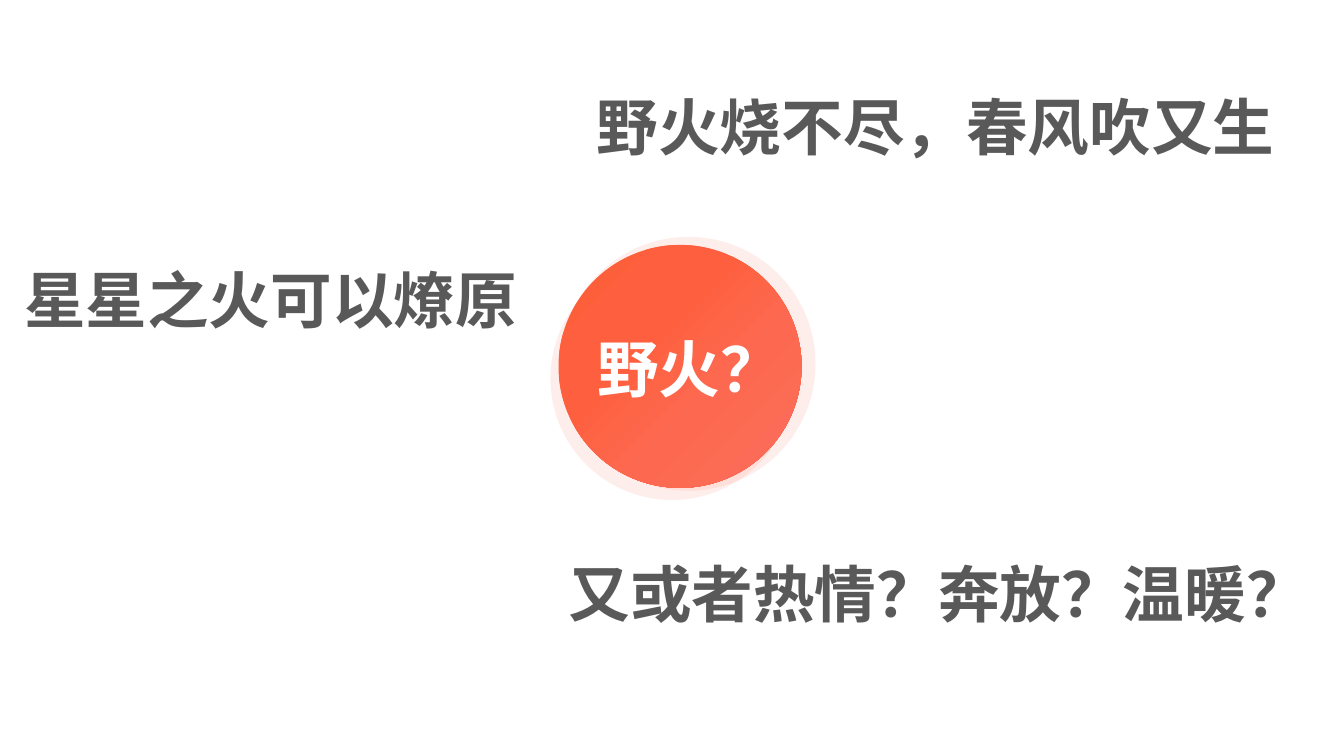
"""Build a slide with a glowing wildfire circle surrounded by three phrases."""
from lxml.etree import SubElement
from pptx import Presentation
from pptx.dml.color import RGBColor
from pptx.enum.shapes import MSO_SHAPE
from pptx.enum.text import MSO_AUTO_SIZE, PP_ALIGN
from pptx.oxml import parse_xml
from pptx.oxml.ns import nsdecls, qn
from pptx.util import Inches, Pt

THEME = {
    "font": "Noto Sans CJK SC",
    "size": Pt(44),
    "text": "595959",
    "on_fire": "FFFFFF",
    "fire": "FE5F3B",
    "halo_alpha": "10000",
    "glow": [(0, "FB6D5B"), (38, "FD6950"), (62, "FE603F"), (100, "FE5F3B")],
}

presentation = Presentation()
presentation.slide_width = Inches(13.33)
presentation.slide_height = Inches(7.5)
slide = presentation.slides.add_slide(presentation.slide_layouts[6])
column = presentation.slide_width / 100
row = presentation.slide_height / 100


def add_circle(left, top, diameter):
    size = int(diameter * column)
    shape = slide.shapes.add_shape(
        MSO_SHAPE.OVAL, int(left * column), int(top * row), size, size)
    shape.shadow.inherit = False
    shape.line.fill.background()
    return shape


def add_phrase(text, left, top, width, color, wrap=True, align=PP_ALIGN.LEFT):
    box = slide.shapes.add_textbox(
        int(left * column), int(top * row), int(width * column), int(11.2 * row))
    text_frame = box.text_frame
    text_frame.word_wrap = wrap
    text_frame.auto_size = MSO_AUTO_SIZE.SHAPE_TO_FIT_TEXT
    text_frame.text = text
    paragraph = text_frame.paragraphs[0]
    paragraph.alignment = align
    run = paragraph.runs[0]
    run.font.name = THEME["font"]
    run.font.size = THEME["size"]
    run.font.bold = True
    run.font.color.rgb = RGBColor.from_string(color)
    east_asian = SubElement(run.font._element, qn("a:ea"))
    east_asian.set("typeface", THEME["font"])


for left, top, diameter in [(41.78, 31.33, 18.9), (40.96, 34, 18.08)]:
    halo = add_circle(left, top, diameter)
    halo.fill.solid()
    halo.fill.fore_color.rgb = RGBColor.from_string(THEME["fire"])
    halo_color = halo._element.spPr.find(".//" + qn("a:srgbClr"))
    SubElement(halo_color, qn("a:alpha")).set("val", THEME["halo_alpha"])

fire = add_circle(41.56, 32.4, 18.08)
fire.fill.gradient()
stops = "".join(
    f'<a:gs pos="{position * 1000}"><a:srgbClr val="{color}"/></a:gs>'
    for position, color in THEME["glow"])
glow = parse_xml(
    f'<a:gradFill {nsdecls("a")} rotWithShape="1"><a:gsLst>{stops}</a:gsLst>'
    '<a:path path="circle"><a:fillToRect l="100000" t="100000"/></a:path>'
    '</a:gradFill>')
fire_properties = fire._element.spPr
fire_properties.replace(fire_properties.find(qn("a:gradFill")), glow)

add_phrase("野火？", 43.66, 43.07, 15.3, THEME["on_fire"], False, PP_ALIGN.CENTER)
for text, left, top in [
    ("野火烧不尽，春风吹又生", 43.66, 11.07),
    ("星星之火可以燎原", 1.05, 34),
    ("又或者热情？奔放？温暖？", 41.56, 72.93),
]:
    add_phrase(text, left, top, 60.54, THEME["text"])

presentation.save("out.pptx")
